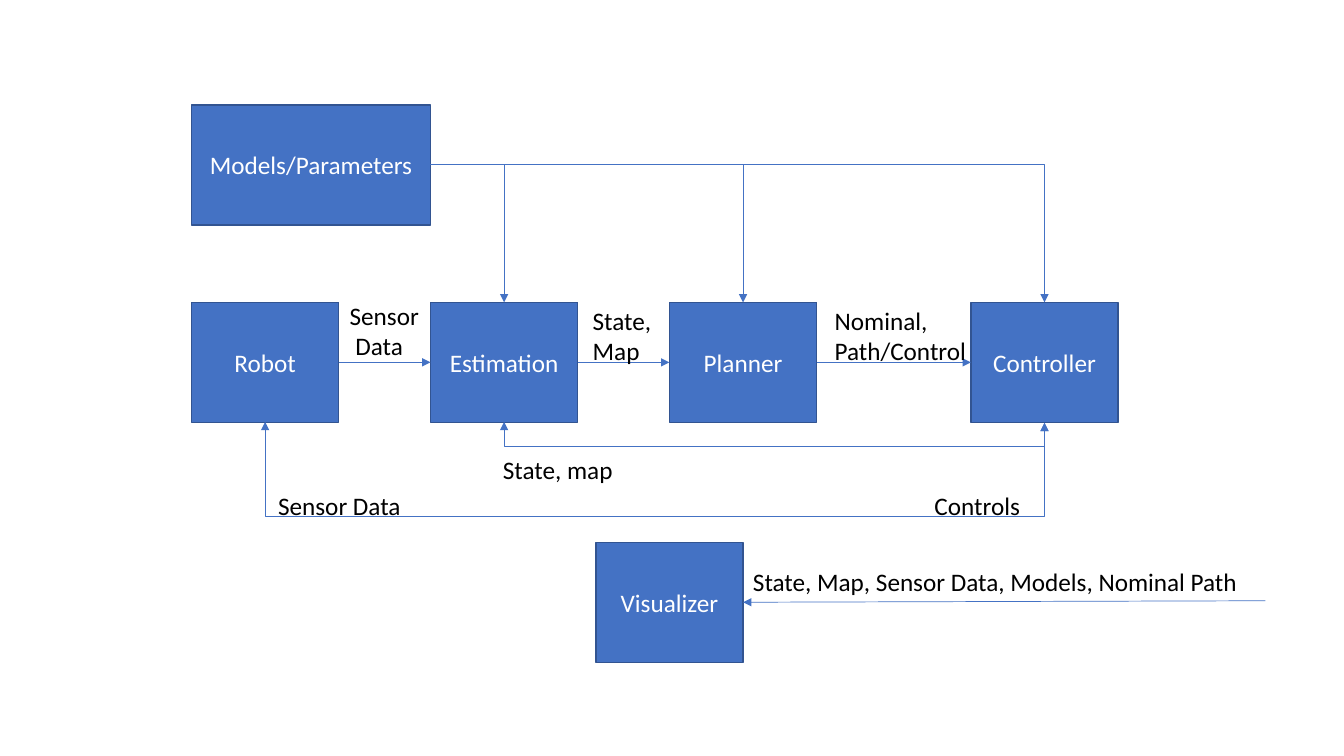
"""Builds a block diagram of a robot control loop."""
from dataclasses import dataclass

from lxml.etree import SubElement
from pptx import Presentation
from pptx.dml.color import RGBColor
from pptx.enum.shapes import MSO_CONNECTOR as Link, MSO_SHAPE as Preset
from pptx.enum.text import MSO_ANCHOR as Anchor, PP_ALIGN as Align
from pptx.oxml.ns import qn
from pptx.util import Inches, Pt


@dataclass(frozen=True)
class Theme:
    font: str = "Calibri"
    size: float = 18
    fill: str = "4472C4"
    outline: str = "325491"
    on_fill: str = "FFFFFF"
    ink: str = "000000"
    outline_width: float = 1
    arrow_width: float = 0.5


@dataclass(frozen=True)
class Block:
    left: float
    top: float
    width: float
    height: float

    @property
    def right(self):
        return self.left + self.width

    @property
    def bottom(self):
        return self.top + self.height

    @property
    def center(self):
        return self.left + self.width / 2

    @property
    def middle(self):
        return self.top + self.height / 2


def write(frame, text, *, theme, color, align=Align.LEFT, anchor=Anchor.TOP, wrap=False):
    frame.word_wrap = wrap
    frame.vertical_anchor = anchor
    for index, line in enumerate(text.split("\n")):
        paragraph = frame.add_paragraph() if index else frame.paragraphs[0]
        paragraph.alignment = align
        run = paragraph.add_run()
        run.text = line
        run.font.name = theme.font
        run.font.size = Pt(theme.size)
        run.font.color.rgb = RGBColor.from_string(color)


class Diagram:
    def __init__(self, slide, theme):
        self.shapes = slide.shapes
        self.theme = theme

    def block(self, text, left, top, width=1.46, height=1.19):
        theme = self.theme
        process = self.shapes.add_shape(
            Preset.FLOWCHART_PROCESS, *map(Inches, (left, top, width, height)))
        process.shadow.inherit = False
        process.fill.solid()
        process.fill.fore_color.rgb = RGBColor.from_string(theme.fill)
        process.line.color.rgb = RGBColor.from_string(theme.outline)
        process.line.width = Pt(theme.outline_width)
        write(process.text_frame, text, theme=theme, color=theme.on_fill,
              align=Align.CENTER, anchor=Anchor.MIDDLE, wrap=True)
        return Block(left, top, width, height)

    def label(self, text, left, top, width, height=0.4):
        box = self.shapes.add_textbox(*map(Inches, (left, top, width, height)))
        write(box.text_frame, text, theme=self.theme, color=self.theme.ink)

    def arrow(self, start, end, kind=Link.STRAIGHT, ends=("tailEnd",)):
        connector = self.shapes.add_connector(kind, *map(Inches, (*start, *end)))
        connector.line.color.rgb = RGBColor.from_string(self.theme.fill)
        connector.line.width = Pt(self.theme.arrow_width)
        properties = connector.line._get_or_add_ln()
        for end_tag in ends:
            SubElement(properties, qn(f"a:{end_tag}"), type="triangle")
        SubElement(connector._element.spPr, qn("a:effectLst"))
        return connector._element.spPr

    def corner(self, start, end):
        outline = self.arrow(start, end, Link.ELBOW)
        outline.find(qn("a:prstGeom")).set("prst", "bentConnector2")

    def loop(self, source, target, drop, depth=0.01):
        """Draw a two-headed bracket below two blocks as a quarter-turned elbow."""
        center, half = (source.center + target.center) / 2, (target.center - source.center) / 2
        outline = self.arrow((center + depth / 2, source.bottom - half),
                             (center - depth / 2, source.bottom + half),
                             Link.ELBOW, ("headEnd", "tailEnd"))
        outline.find(qn("a:xfrm")).set("rot", str(270 * 60000))
        guides = outline.find(qn("a:prstGeom")).get_or_add_avLst()
        SubElement(guides, qn("a:gd"), name="adj1", fmla=f"val {round(drop / depth * 100000)}")


deck = Presentation()
deck.slide_width, deck.slide_height = Inches(13.33), Inches(7.5)
diagram = Diagram(deck.slides.add_slide(deck.slide_layouts[6]), Theme())

stages = [diagram.block(name, left, 3) for name, left in
          (("Robot", 1.9), ("Estimation", 4.27), ("Planner", 6.64), ("Controller", 9.63))]
robot, estimation, planner, controller = stages
visualizer = diagram.block("Visualizer", 5.91, 5.38)
models = diagram.block("Models/Parameters", robot.left, 1.04, width=2.37)

for source, target in zip(stages, stages[1:]):
    diagram.arrow((source.right, source.middle), (target.left, target.middle))
for stage in stages[1:]:
    diagram.corner((models.right, models.middle), (stage.center, stage.top))
diagram.loop(robot, controller, drop=0.95)
diagram.loop(estimation, controller, drop=0.25)
diagram.arrow((12.55, 5.96), (visualizer.right, visualizer.middle))

for text, *place in (
    ("Sensor\n Data", 3.37, 2.93, 0.9, 0.71),
    ("State,\nMap", 5.78, 2.98, 0.79, 0.71),
    ("Nominal,\nPath/Control", 8.18, 2.98, 1.52, 0.71),
    ("Sensor Data", 2.66, 4.82, 1.43),
    ("State, map", 4.89, 4.46, 1.3),
    ("Controls", 9.17, 4.82, 1.06),
    ("State, Map, Sensor Data, Models, Nominal Path", visualizer.right, 5.57, 5.03),
):
    diagram.label(text, *place)

deck.save("out.pptx")
